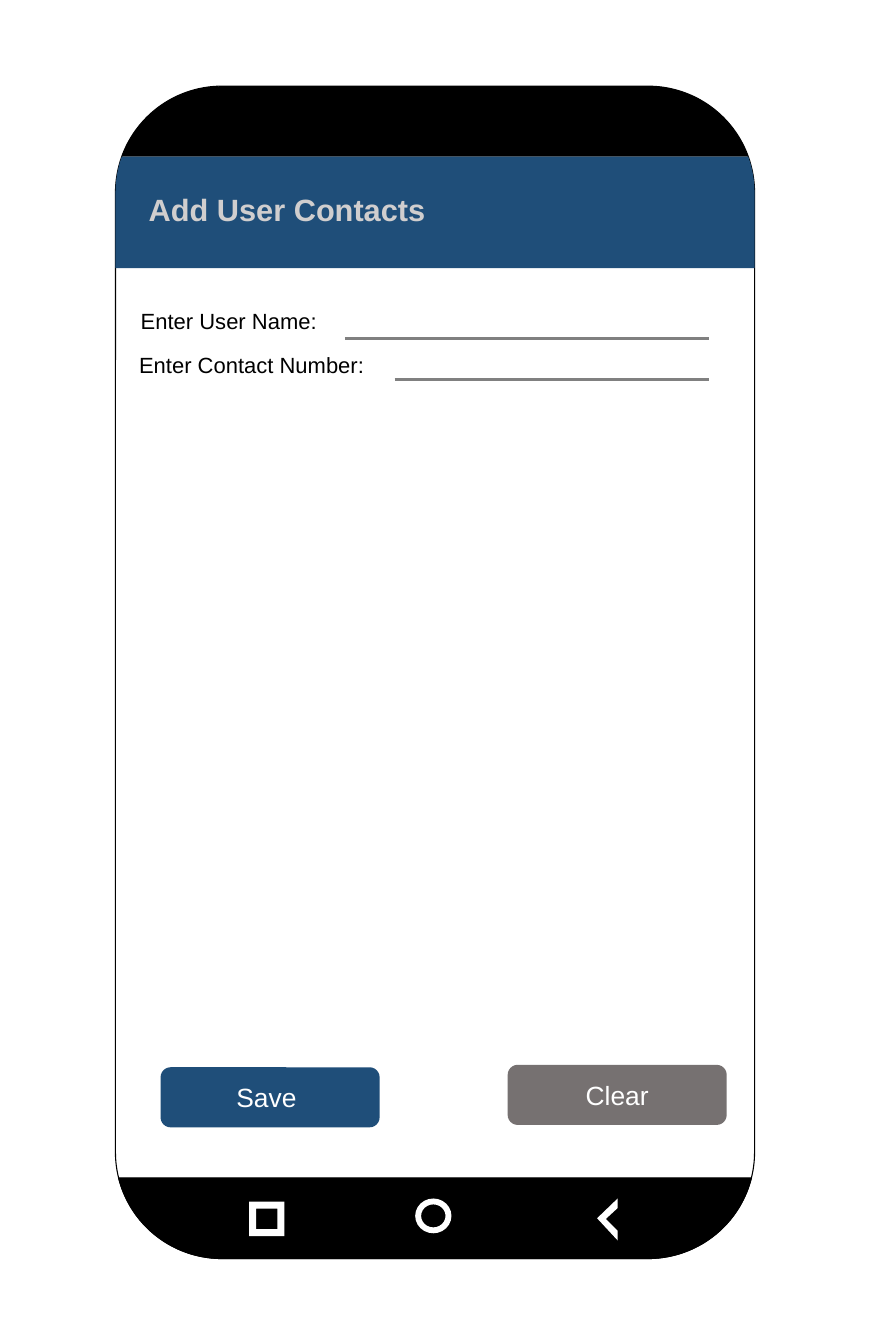
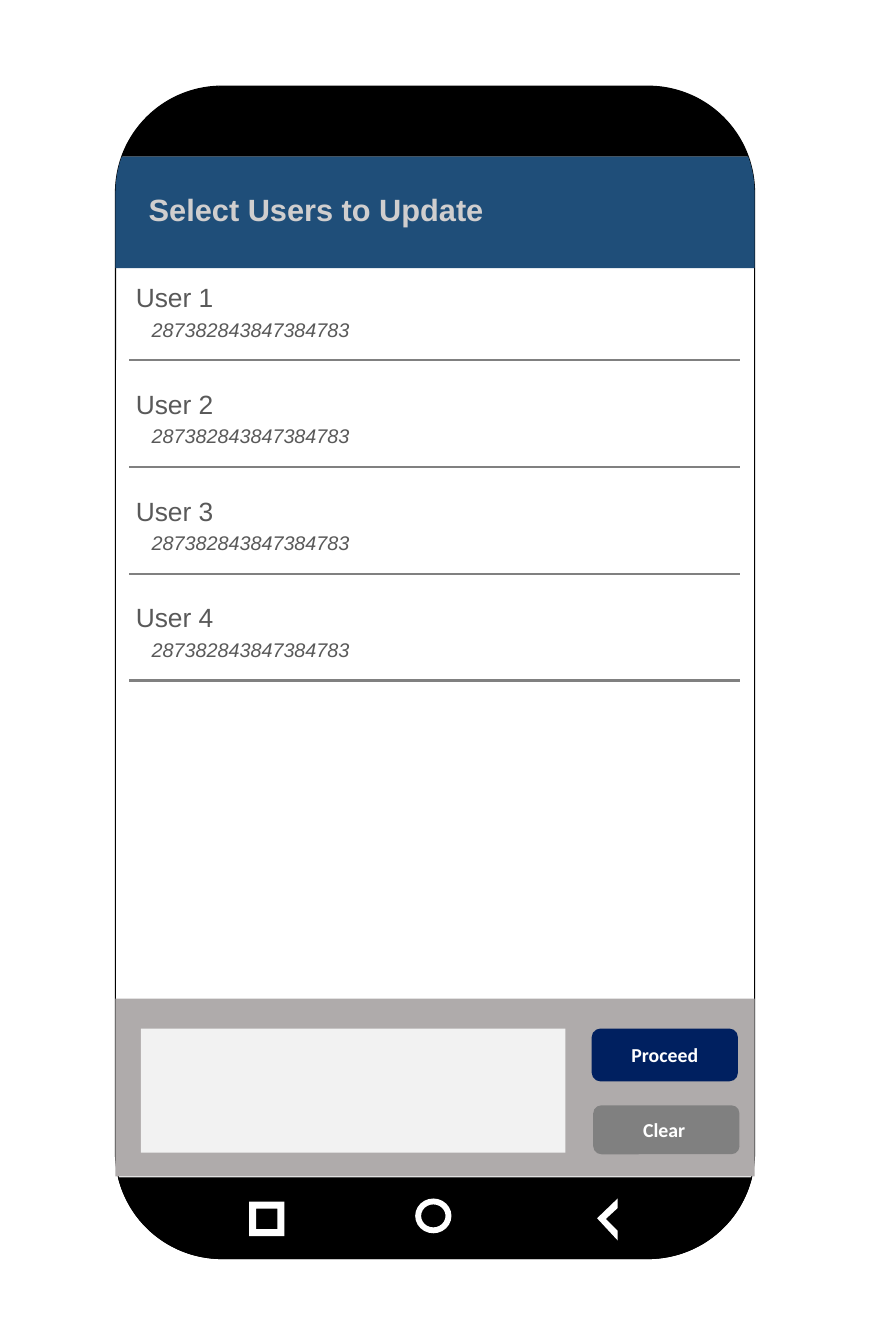
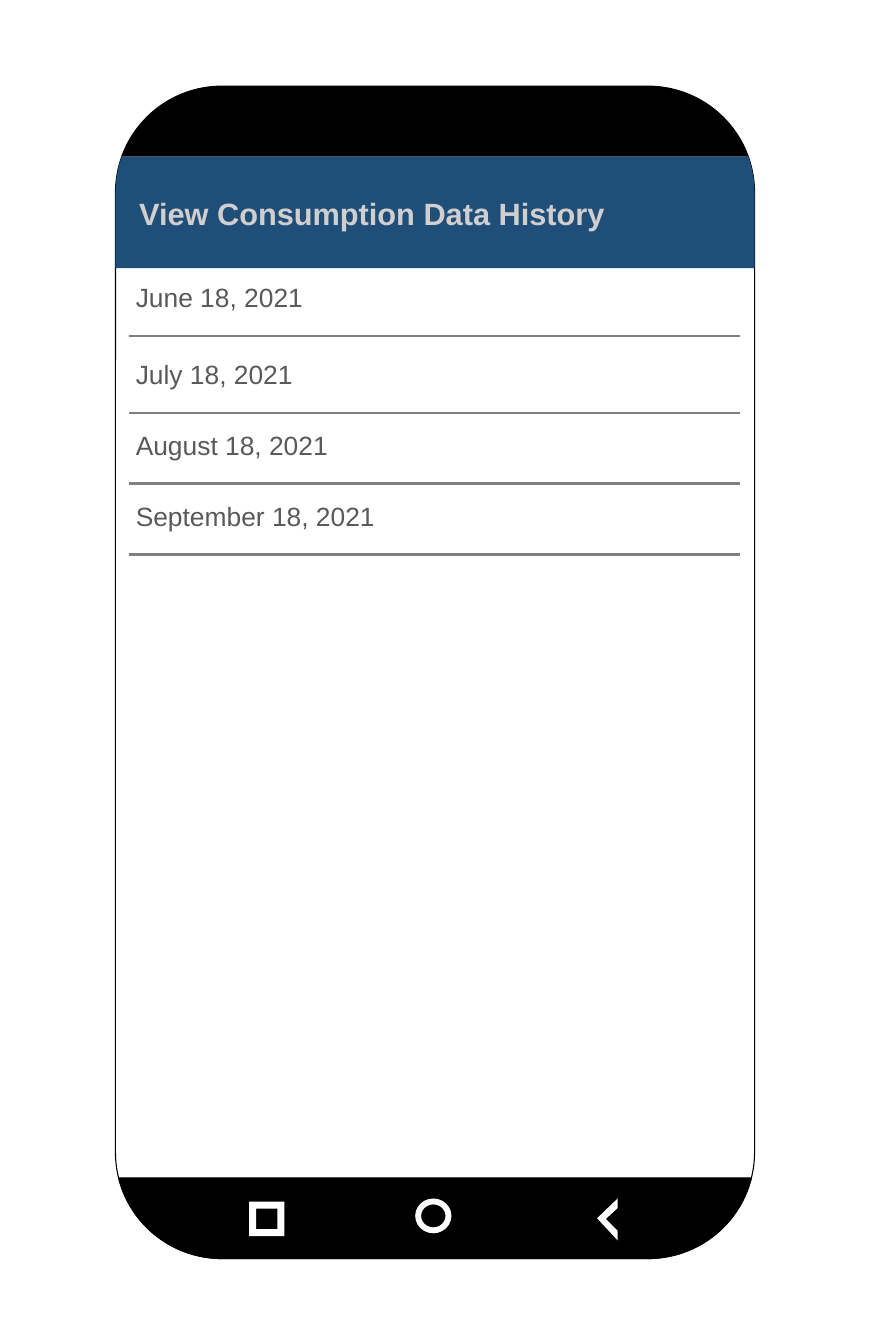
import math
import lxml.etree
import pptx
import pptx.dml.color
import pptx.enum.shapes
import pptx.enum.text
import pptx.oxml.ns
import pptx.util

Pt = pptx.util.Pt
KIND = pptx.enum.shapes.MSO_SHAPE
ALIGN = pptx.enum.text.PP_ALIGN
ANCHOR = pptx.enum.text.MSO_ANCHOR
SIZING = pptx.enum.text.MSO_AUTO_SIZE

# Content
TITLES = [  # text, left, top, width
    ("Add User Contacts", 128.2, 170, 269.3),
    ("Select Users to Update", 128.2, 170, 323.3),
    ("View Consumption Data History", 119.5, 174.2, 443.5),
]
FIELDS = [  # label, left, top, width, line start, line height
    ("Enter User Name:", 121, 276.5, 212.4, 314, 308.2),
    ("Enter Contact Number:", 119.5, 316.8, 240, 359.3, 345.6),
]
USERS = ["User 1", "User 2", "User 3", "User 4"]
NUMBER = "287382843847384783"
DATES = [  # text, top
    ("June 18, 2021", 252.7),
    ("July 18, 2021", 323.1),
    ("August 18, 2021", 387.4),
    ("September 18, 2021", 452),
]
FORM = [  # text, box, fill
    ("Save ", (146.2, 972, 199.4, 54.7), "blue"),
    ("Clear", (462.2, 969.8, 199.4, 54.7), "stone"),
]
ACTIONS = [
    ("Proceed", (538.6, 936.7, 133.2, 48.2), "navy"),
    ("Clear ", (540, 1006.6, 133.2, 44.6), "gray"),
]

# Style
COLORS = {
    "black": "000000", "white": "FFFFFF", "blue": "1F4E79",
    "navy": "002060", "stone": "767171", "gray": "808080",
    "silver": "D0CECE", "panel": "AFABAB", "pale": "F2F2F2",
    "text": "595959",
}
PHONE = (105.12, 78.5, 581.8, 1067.7)  # left, top, width, height
CAP, HEAD, FOOT = 142.6, 244.1, 1072.8  # edges between the bands
ROW_X, LINE_X, LINE_W = 116.5, 117.7, 555.5
ROW_W, ROW_H = 284.4, 36
USER_TOP, USER_STEP = 252.7, 97.2


def tint(name):
    return pptx.dml.color.RGBColor.from_string(COLORS[name])


def paint(shape, fill=None, line=None):
    shape.shadow.inherit = False
    if fill:
        shape.fill.solid()
        shape.fill.fore_color.rgb = tint(fill)
    else:
        shape.fill.background()
    if line:
        shape.line.color.rgb = tint(line)
        shape.line.width = Pt(1)
    else:
        shape.line.fill.background()
    return shape


def block(slide, kind, box, fill=None, line=None):
    shape = slide.shapes.add_shape(kind, *map(Pt, box))
    return paint(shape, fill, line)


def outline(slide, points, fill, line=None):
    dots = [(Pt(x), Pt(y)) for x, y in points]
    maker = slide.shapes.build_freeform(*dots[0], scale=1.0)
    maker.add_line_segments(dots[1:], close=True)
    return paint(maker.convert_to_shape(), fill, line)


def write(shape, text, size, color, font="Arial", bold=False,
          italic=False, align=ALIGN.LEFT):
    para = shape.text_frame.paragraphs[0]
    para.alignment = align
    run = para.add_run()
    run.text = text
    run.font.name, run.font.size = font, Pt(size)
    run.font.bold, run.font.italic = bold, italic
    run.font.color.rgb = tint(color)


def label(slide, text, box, size, color, italic=False):
    shape = slide.shapes.add_textbox(*map(Pt, box))
    shape.text_frame.word_wrap = True
    write(shape, text, size, color, italic=italic)


def rule(slide, left, right, y):
    line = slide.shapes.add_connector(
        pptx.enum.shapes.MSO_CONNECTOR.STRAIGHT,
        Pt(left), Pt(y), Pt(right), Pt(y))
    line.line.color.rgb = tint("gray")
    line.line.width = Pt(2)
    lxml.etree.SubElement(line.element.spPr,
                          pptx.oxml.ns.qn("a:effectLst"))


def button(slide, text, box, fill, size, font, bold=False):
    shape = block(slide, KIND.ROUNDED_RECTANGLE, box, fill)
    shape.text_frame.vertical_anchor = ANCHOR.MIDDLE
    write(shape, text, size, "white", font, bold, align=ALIGN.CENTER)


def band(slide, top, end, fill, line=None):
    """Fill the part of the rounded phone between two heights."""
    left, high, wide, tall = PHONE
    low, radius = high + tall, wide / 6
    drops = [radius * (1 - math.cos(math.radians(a)))
             for a in range(0, 91, 3)]
    curve = [high + d for d in drops] + [low - d for d in drops]
    levels = sorted({top, end} | {y for y in curve if top < y < end})

    def inset(y):
        dip = max(0, radius - min(y - high, low - y))
        return radius - math.sqrt(max(0, radius ** 2 - dip ** 2))

    west = [(left + inset(y), y) for y in levels]
    east = [(left + wide - inset(y), y) for y in reversed(levels)]
    outline(slide, west + east, fill, line)


def phone(slide, layout):
    """Draw the phone and move it to the layout that all slides share."""
    first = len(slide.shapes)
    block(slide, KIND.ROUNDED_RECTANGLE, PHONE, line="black")
    band(slide, PHONE[1], CAP, "black")
    band(slide, FOOT, PHONE[1] + PHONE[3], "black", "black")
    band(slide, CAP, HEAD, "blue")
    ring = block(slide, KIND.DONUT, (378, 1091.5, 33, 31.7), "white")
    ring.adjustments[0] = 0.17
    square = block(slide, KIND.FRAME, (226.8, 1094.4, 32, 31.4), "white")
    square.adjustments[0] = 0.2
    outline(slide, [(543.6, 1109.5), (562.3, 1091.5), (562.3, 1100.2),
                    (551.5, 1110.2), (562.3, 1121), (562.3, 1129.7)],
            "white")
    for shape in list(slide.shapes)[first:]:
        layout.shapes.element.append(shape.element)


def head(slide, text, left, top, width):
    title = slide.shapes.title
    title.left, title.top = Pt(left), Pt(top)
    title.width, title.height = Pt(width), Pt(41)
    frame = title.text_frame
    frame.word_wrap, frame.auto_size = False, SIZING.NONE
    frame.vertical_anchor = ANCHOR.TOP
    write(title, text, 28, "silver", bold=True)


def contacts(slide):
    for text, left, top, width, start, y in FIELDS:
        label(slide, text, (left, top, width, 31.7), 20, "black")
        rule(slide, start, 645.1, y)
    for text, box, fill in FORM:
        button(slide, text, box, fill, 24, "Arial")


def entry(slide, text, top, drop):
    label(slide, text, (ROW_X, top, ROW_W, ROW_H), 24, "text")
    rule(slide, LINE_X, LINE_X + LINE_W, top + drop)


def users(slide):
    for i, name in enumerate(USERS):
        top = USER_TOP + i * USER_STEP
        entry(slide, name, top, 75.4)
        label(slide, NUMBER, (ROW_X + 14.4, top + 32.8, ROW_W, 28.8),
              18, "text", italic=True)
    block(slide, KIND.RECTANGLE, (PHONE[0], 909.4, PHONE[2], 162), "panel")
    block(slide, KIND.RECTANGLE, (128.2, 936.7, 386.6, 113), "pale")
    for text, box, fill in ACTIONS:
        button(slide, text, box, fill, 18, "Calibri", True)


def history(slide):
    for text, top in DATES:
        entry(slide, text, top, 53)


def main():
    deck = pptx.Presentation()
    deck.slide_width, deck.slide_height = Pt(792), Pt(1224)
    layout = deck.slide_layouts[5]
    for holder in list(layout.placeholders):
        if holder.placeholder_format.idx:
            layout.shapes.element.remove(holder.element)
    for i, fill in enumerate((contacts, users, history)):
        slide = deck.slides.add_slide(layout)
        if i == 0:
            phone(slide, layout)
        head(slide, *TITLES[i])
        fill(slide)
    deck.save("out.pptx")


if __name__ == "__main__":
    main()
